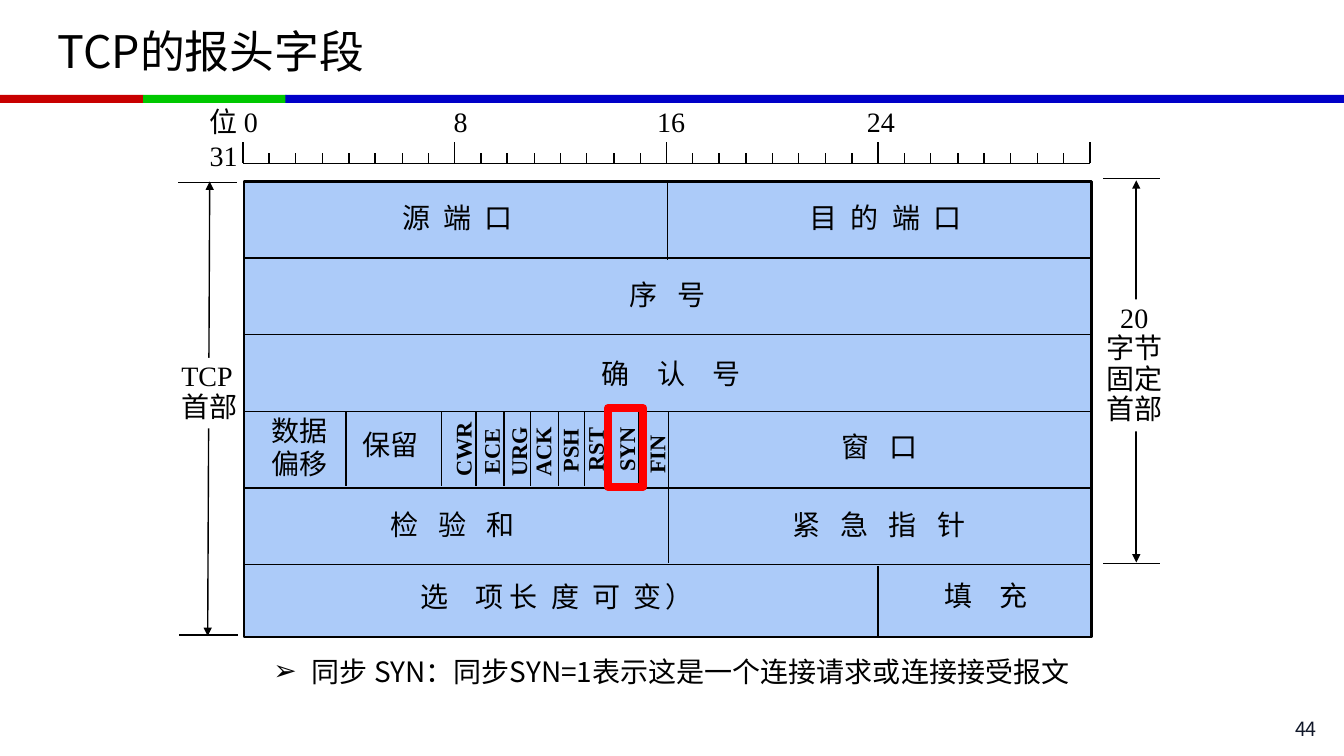
"""Build the slide on the fields of the TCP header."""
from lxml import etree
from pptx import Presentation
from pptx.dml.color import RGBColor
from pptx.enum.shapes import MSO_CONNECTOR, MSO_SHAPE
from pptx.enum.text import MSO_ANCHOR, MSO_AUTO_SIZE, PP_ALIGN
from pptx.oxml.ns import qn
from pptx.util import Pt

RECT, STRAIGHT = MSO_SHAPE.RECTANGLE, MSO_CONNECTOR.STRAIGHT
LEFT, CENTER, RIGHT = PP_ALIGN.LEFT, PP_ALIGN.CENTER, PP_ALIGN.RIGHT
TOP, MIDDLE = MSO_ANCHOR.TOP, MSO_ANCHOR.MIDDLE
NO_FIT = MSO_AUTO_SIZE.NONE
PX = 9144
SANS, SERIF = "Noto Sans CJK SC", "Times New Roman"
COLORS = {"black": "000000", "white": "FFFFFF", "cell": "ACCBF9", "mark": "FF0000",
          "red": "C80000", "green": "00C800", "blue": "0000C8", "number": "12192B"}

TITLE = "TCP的报头字段"
NOTE = "同步 SYN：同步SYN=1表示这是一个连接请求或连接接受报文"
BARS = [("red", 0, 142), ("green", 142, 142), ("blue", 283, 1050)]
BITS = ["位 0\t8\t16\t24", "31"]
BIT_TABS = [242, 444, 652]

HEADER = (242, 180, 841, 452)
ROW_TOP, ROW_STEP, ROW_LINES = 256, 76, 5
RULER_X, RULER_Y, RULER_W, BIT_COUNT = 241, 162, 840, 32
DIVIDERS = [(662, 180, 258), (663, 409, 559), (871, 562, 632)]
FLAG_ROW = (408, 482)
FLAG_DIVIDERS = [343, 438, 472, 500, 526, 554, 580, 606, 633]

# Each field: left, top, width, runs of (text, letter spacing in points).
FIELDS = [
    (389, 194, 160, [("源 端 口", 2.5)]),
    (793, 194, 200, [("目 的 端 口", 2.5)]),
    (614, 270, 151, [("序 号", 5)]),
    (587, 349, 201, [("确 认 号", 7.5)]),
    (259, 405, 82, [("数据\n偏移", 0)]),
    (350, 419, 82, [("保留", 0)]),
    (825, 421, 120, [("窗 口", 5)]),
    (377, 499, 170, [("检 验 和", 5)]),
    (776, 499, 220, [("紧 急 指 针", 5)]),
    (407, 570, 350, [("选 ", 7.5), ("项 ", 0), ("长 度 可 变）", 2.5)]),
    (927, 569, 137, [("填 充", 7.5)]),
]
FLAGS = [("CWR", 462, 446), ("ECE", 490, 448), ("URG", 517, 448), ("ACK", 541, 448),
         ("PSH", 568, 447), ("RST", 593, 446), ("SYN", 624, 446), ("FIN", 654, 451)]
FLAG_W, FLAG_H = 90, 30
SYN_FRAME = (603, 405, 35, 78)

# Each span: arrow ends, arrow width, label box, alignment, lines, end marks.
SPANS = [
    ((208, 180, 206, 631), 1, (170, 355, 76, 70), LEFT, ["TCP", "首部"],
     [(177, 181, 235, 181), (178, 630, 236, 630)]),
    ((1127, 179, 1127, 558), 1.5, (1087, 297, 76, 131), CENTER,
     ["20", "字节", "固定", "首部"],
     [(1094, 177, 1151, 177), (1094, 559, 1151, 559)]),
]

prs = Presentation()
prs.slide_width, prs.slide_height = 1333 * PX, 750 * PX
slide = prs.slides.add_slide(prs.slide_layouts[1])


def rgb(name):
    return RGBColor.from_string(COLORS[name])


def place(sp, box):
    sp.left, sp.top, sp.width, sp.height = (v * PX for v in box)


def add_rect(box, fill=None, line=None, weight=1):
    sp = slide.shapes.add_shape(RECT, *(v * PX for v in box))
    sp.shadow.inherit = False
    if fill:
        sp.fill.solid()
        sp.fill.fore_color.rgb = rgb(fill)
    else:
        sp.fill.background()
    if line:
        sp.line.color.rgb = rgb(line)
        sp.line.width = Pt(weight)
    else:
        sp.line.fill.background()
    return sp


def add_line(x1, y1, x2, y2, weight=1, arrows=False):
    cx = slide.shapes.add_connector(STRAIGHT, x1 * PX, y1 * PX, x2 * PX, y2 * PX)
    cx.line.color.rgb = rgb("black")
    cx.line.width = Pt(weight)
    if arrows:
        ln = cx.line._get_or_add_ln()
        for end in ("a:headEnd", "a:tailEnd"):
            etree.SubElement(ln, qn(end), type="triangle")
    etree.SubElement(cx._element.spPr, qn("a:effectLst"))


def add_text_box(box):
    sp = slide.shapes.add_textbox(*(v * PX for v in box))
    return sp


def write(sp, paragraphs, size=20, font=SERIF, color="black", align=LEFT,
          anchor=TOP, wrap=True, spacing=None, bold=False):
    tf = sp.text_frame
    tf.word_wrap, tf.auto_size, tf.vertical_anchor = wrap, NO_FIT, anchor
    for i, runs in enumerate(paragraphs):
        p = tf.add_paragraph() if i else tf.paragraphs[0]
        p.alignment, p.space_before = align, Pt(0)
        if spacing:
            p.line_spacing = spacing
        for text, gap in runs:
            r = p.add_run()
            r.text = text
            r.font.size, r.font.name, r.font.bold = Pt(size), font, bold
            r.font.color.rgb = rgb(color)
            rPr = r._r.get_or_add_rPr()
            if gap:
                rPr.set("spc", str(int(gap * 100)))
            if font == SANS:
                etree.SubElement(rPr, qn("a:ea"), typeface=font)
    return tf


def plain(lines):
    return [[(line, 0)] for line in lines]


for color, left, width in BARS:
    add_rect((left, 94, width, 8), color)

title, note = slide.placeholders
place(title, (47, 8, 1239, 84))
write(title, plain([TITLE]), 32, SANS, anchor=MIDDLE)
place(note, (115, 644, 1102, 44))
p = write(note, plain([NOTE]), 20, SANS, align=CENTER).paragraphs[0]
pPr = p._p.get_or_add_pPr()
pPr.set("marL", str(38 * PX))
pPr.set("indent", str(-38 * PX))
etree.SubElement(pPr, qn("a:buChar"), char="➢")

for ends, weight, box, align, lines, marks in SPANS:
    add_line(*ends, weight, arrows=True)
    write(add_rect(box, "white"), plain(lines), align=align, wrap=False, spacing=0.9)
    for mark in marks:
        add_line(*mark)

add_rect(HEADER, "cell", "black", 2)
left, _, width, _ = HEADER
for i in range(ROW_LINES):
    y = ROW_TOP + i * ROW_STEP
    add_line(left, y, left + width, y)
for x, top, bottom in DIVIDERS + [(x, *FLAG_ROW) for x in FLAG_DIVIDERS]:
    add_line(x, top, x, bottom)

add_line(RULER_X, RULER_Y, RULER_X + RULER_W, RULER_Y)
for bit in range(BIT_COUNT + 1):
    x = RULER_X + round(bit * RULER_W / BIT_COUNT)
    add_line(x, RULER_Y - (10 if bit % 8 else 21), x, RULER_Y)
tf = write(add_text_box((198, 99, 904, 76)), plain(BITS))
tabs = etree.SubElement(tf.paragraphs[0]._p.get_or_add_pPr(), qn("a:tabLst"))
for x in BIT_TABS:
    etree.SubElement(tabs, qn("a:tab"), pos=str(x * PX), algn="l")

for left, top, width, runs in FIELDS:
    lines = plain(runs[0][0].split("\n")) if len(runs) == 1 and not runs[0][1] else [runs]
    write(add_text_box((left, top, width, 43 if len(lines) == 1 else 77)), lines)

add_rect(SYN_FRAME, line="mark", weight=6)
for name, x, y in FLAGS:
    sp = add_text_box((x - FLAG_W // 2, y - FLAG_H // 2, FLAG_W, FLAG_H))
    sp.rotation = 270
    write(sp, plain([name]), 16, align=CENTER, spacing=0.75, bold=True)

write(add_text_box((1186, 706, 130, 28)), plain(["44"]), 14, SANS, "number", RIGHT)
prs.save("out.pptx")
